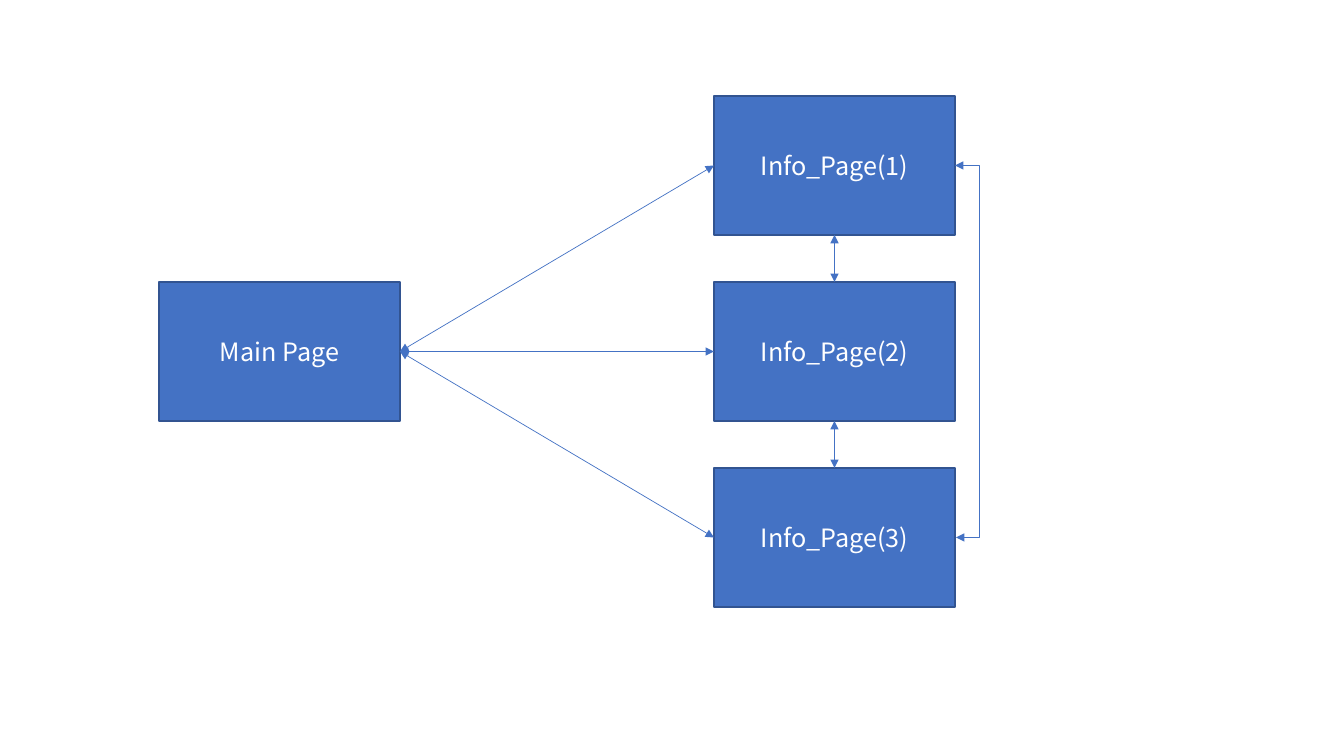
from pptx import Presentation
from pptx.dml.color import RGBColor
from pptx.enum.shapes import MSO_CONNECTOR, MSO_SHAPE
from pptx.enum.text import MSO_ANCHOR, PP_ALIGN
from pptx.oxml.ns import qn
from pptx.util import Pt
from lxml import etree

RECTANGLE = MSO_SHAPE.RECTANGLE
STRAIGHT, ELBOW = MSO_CONNECTOR.STRAIGHT, MSO_CONNECTOR.ELBOW
MIDDLE, CENTER = MSO_ANCHOR.MIDDLE, PP_ALIGN.CENTER
TOP_SITE, LEFT_SITE, BOTTOM_SITE, RIGHT_SITE = range(4)
PIXEL = 914400 / 100.8
BLUE, DARK_BLUE, WHITE = "4472C4", "325491", "FFFFFF"
FONT = "Noto Sans CJK KR"

BOX_WIDTH, BOX_HEIGHT = 241, 139
MAIN_LEFT, INFO_LEFT = 159, 714
FIRST_TOP, ROW_STEP = 96, 186
LOOP_REACH = 25


def color(hex_string):
    """Turn a hex string into a colour."""
    return RGBColor.from_string(hex_string)


def add_arrow(kind, *ends):
    """Add a thin double-headed connector between two points in pixels."""
    arrow = slide.shapes.add_connector(kind, *[round(value * PIXEL) for value in ends])
    arrow.line.color.rgb = color(BLUE)
    arrow.line.width = Pt(0.5)
    line = arrow.line._get_or_add_ln()
    for end in ("a:headEnd", "a:tailEnd"):
        etree.SubElement(line, qn(end), type="triangle")
    etree.SubElement(arrow._element.spPr, qn("a:effectLst"))
    return arrow


presentation = Presentation()
presentation.slide_width = round(1344 * PIXEL)
presentation.slide_height = round(756 * PIXEL)
slide = presentation.slides.add_slide(presentation.slide_layouts[6])

# Pages
pages = [("Main Page", MAIN_LEFT, 1)]
pages += [(f"Info_Page({row + 1})", INFO_LEFT, row) for row in range(3)]
boxes = []
for label, left, row in pages:
    frame = (left, FIRST_TOP + row * ROW_STEP, BOX_WIDTH, BOX_HEIGHT)
    box = slide.shapes.add_shape(RECTANGLE, *[round(value * PIXEL) for value in frame])
    box.shadow.inherit = False
    box.fill.solid()
    box.fill.fore_color.rgb = color(BLUE)
    box.line.color.rgb = color(DARK_BLUE)
    box.line.width = Pt(1)
    box.text_frame.text = label
    box.text_frame.vertical_anchor = MIDDLE
    paragraph = box.text_frame.paragraphs[0]
    paragraph.alignment = CENTER
    paragraph.font.name = FONT
    paragraph.font.size = Pt(18)
    paragraph.font.color.rgb = color(WHITE)
    boxes.append(box)
main_box, *info_boxes = boxes

# Links from the main page to each info page, then between neighbours
links = [(main_box, RIGHT_SITE, info_box, LEFT_SITE) for info_box in info_boxes]
links += [(lower, TOP_SITE, upper, BOTTOM_SITE)
          for upper, lower in zip(info_boxes, info_boxes[1:])]
for start_box, start_site, end_box, end_site in links:
    arrow = add_arrow(STRAIGHT, 0, 0, 0, 0)
    arrow.begin_connect(start_box, start_site)
    arrow.end_connect(end_box, end_site)

# Loop between the first and the last info page; its bend is set in
# 1/100000 of the connector's width, which is one pixel
info_right = INFO_LEFT + BOX_WIDTH
first_middle = FIRST_TOP + BOX_HEIGHT / 2
loop = add_arrow(ELBOW, info_right, first_middle,
                 info_right + 1, first_middle + 2 * ROW_STEP)
adjustments = loop._element.spPr.find(qn("a:prstGeom")).get_or_add_avLst()
etree.SubElement(adjustments, qn("a:gd"), name="adj1", fmla=f"val {LOOP_REACH * 100000}")

presentation.save("out.pptx")
